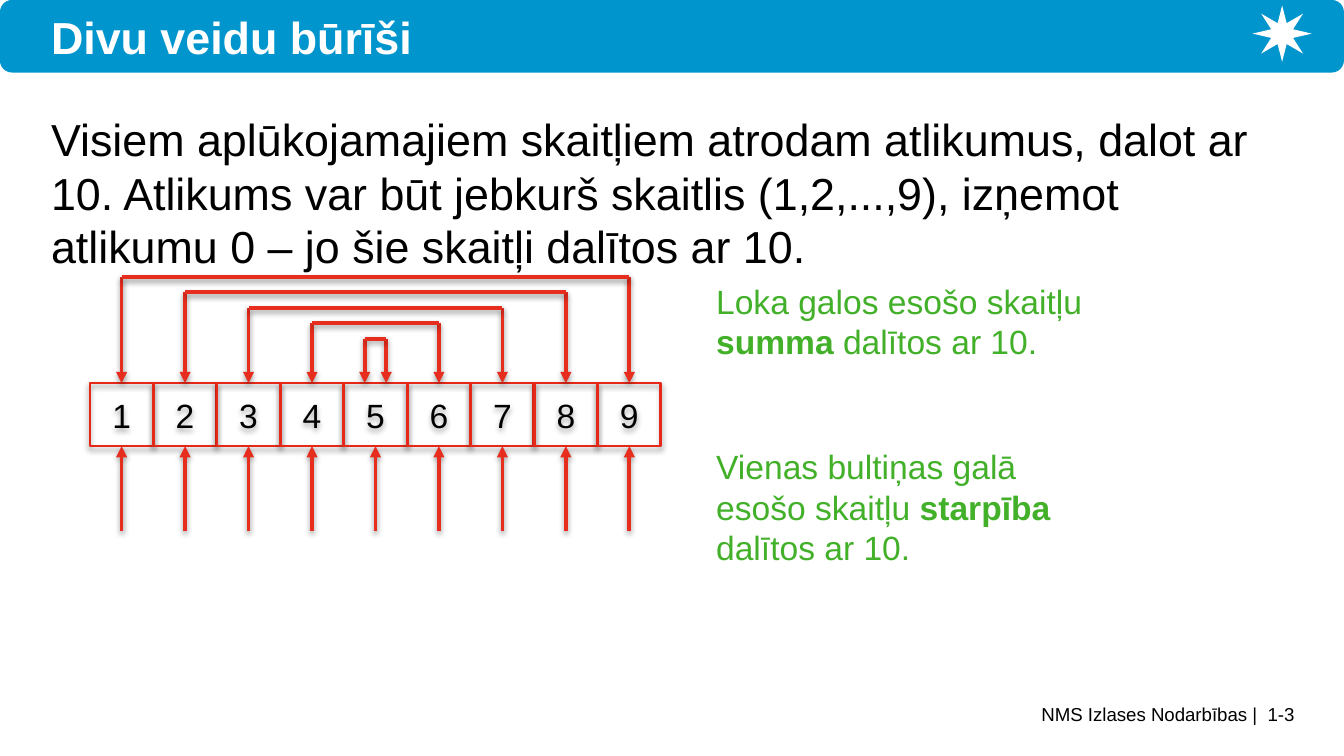
from pptx import Presentation
from pptx.dml.color import RGBColor
from pptx.enum.shapes import MSO_CONNECTOR as Connector, MSO_SHAPE as Shape
from pptx.enum.text import MSO_ANCHOR as Anchor, PP_ALIGN as Align
from pptx.oxml import parse_xml
from pptx.oxml.ns import nsdecls
from pptx.util import Inches, Pt

COLORS = {"banner": "0095CD", "white": "FFFFFF", "black": "000000",
          "cell": "E62818", "arrow": "E62D1E", "note": "43B02A"}
FONT = "Arial"

TITLE = "Divu veidu būrīši"
BODY = ("Visiem aplūkojamajiem skaitļiem atrodam atlikumus, dalot ar 10. "
        "Atlikums var būt jebkurš skaitlis (1,2,...,9), izņemot atlikumu 0 – "
        "jo šie skaitļi dalītos ar 10.")
FOOTER = "NMS Izlases Nodarbības |  1-3"
NOTES = [
    (2.04, 0.71, [("Loka galos esošo skaitļu ", False), ("summa", True),
                  (" dalītos ar 10.", False)]),
    (3.27, 1.01, [("Vienas bultiņas galā esošo skaitļu ", False),
                  ("starpība", True), (" dalītos ar 10.", False)]),
]
REMAINDERS = list(range(1, 10))

ROW_LEFT, ROW_RIGHT, ROW_TOP, CELL = 0.67, 4.92, 2.85, 0.47
PITCH = (ROW_RIGHT - ROW_LEFT) / len(REMAINDERS)
ARC_TOP, ARC_LOWEST = 2.06, 2.52
ARC_STEP = (ARC_LOWEST - ARC_TOP) / (len(REMAINDERS) // 2)
LOOP_HALF = 0.08
ARROW_START = 3.95

deck = Presentation()
deck.slide_width = Inches(10)
deck.slide_height = Inches(10 * 9 / 16)
slide = deck.slides.add_slide(deck.slide_layouts[6])


def color(name):
    return RGBColor.from_string(COLORS[name])


def write(frame, runs, size, tint, align=Align.LEFT):
    para = frame.paragraphs[0]
    para.alignment = align
    for text, bold in runs:
        span = para.add_run()
        span.text = text
        span.font.name, span.font.size, span.font.bold = FONT, Pt(size), bold
        span.font.color.rgb = color(tint)
    return para


def add_text(area, runs, size, tint, align=Align.LEFT, inset=True):
    frame = slide.shapes.add_textbox(*map(Inches, area)).text_frame
    frame.word_wrap = True
    if not inset:
        frame.margin_left = frame.margin_right = 0
        frame.margin_top = frame.margin_bottom = 0
    return write(frame, runs, size, tint, align)


def add_plain(kind, area, fill):
    shape = slide.shapes.add_shape(kind, *map(Inches, area))
    shape.shadow.inherit = False
    shape.fill.solid()
    shape.fill.fore_color.rgb = color(fill)
    shape.line.fill.background()
    return shape


def add_shadow(properties, distance, opacity):
    properties.append(parse_xml(
        f'<a:effectLst {nsdecls("a")}><a:outerShdw blurRad="{Pt(3.1)}" '
        f'dist="{Pt(distance)}" dir="5400000" rotWithShape="0">'
        f'<a:srgbClr val="{COLORS["black"]}"><a:alpha val="{opacity}000"/>'
        '</a:srgbClr></a:outerShdw></a:effectLst>'))


def add_cell(index, number):
    area = (ROW_LEFT + index * PITCH, ROW_TOP, CELL, CELL)
    cell = slide.shapes.add_shape(Shape.RECTANGLE, *map(Inches, area))
    cell.fill.background()
    cell.line.color.rgb = color("cell")
    cell.line.width = Pt(1.5)
    add_shadow(cell.element.spPr, 1.8, 35)
    cell.text_frame.vertical_anchor = Anchor.MIDDLE
    write(cell.text_frame, [(str(number), False)], 18, "black", Align.CENTER)
    return cell


def add_line(start, end, arrow=False):
    line = slide.shapes.add_connector(
        Connector.STRAIGHT, *map(Inches, (*start, *end)))
    line.line.color.rgb = color("arrow")
    line.line.width = Pt(2)
    if arrow:
        line.line._get_or_add_ln().append(
            parse_xml(f'<a:tailEnd {nsdecls("a")} type="triangle"/>'))
    add_shadow(line.element.spPr, 1.6, 38)
    return line


def center(index):
    return ROW_LEFT + index * PITCH + CELL / 2


add_text((2.41, 5.23, 7.22, 0.33), [(FOOTER, False)], 10, "black",
         Align.RIGHT, inset=False)
add_plain(Shape.ROUNDED_RECTANGLE, (0, 0, 10, 0.54), "banner")
emblem = add_plain(Shape.STAR_8_POINT, (9.32, 0.04, 0.44, 0.42), "white")
emblem.adjustments[0] = 0.2
body = add_text((0.38, 0.83, 9.25, 1.25), [(BODY, False)], 24, "black", inset=False)
body.space_before = Pt(4.8)
add_text((0.38, 0.07, 8.27, 0.42), [(TITLE, True)], 24, "white", inset=False)

cells = [add_cell(index, number) for index, number in enumerate(REMAINDERS)]

for low in range((len(cells) + 1) // 2):
    high = len(cells) - 1 - low
    spread = LOOP_HALF if low == high else 0
    left, right = center(low) - spread, center(high) + spread
    top = ARC_TOP + low * ARC_STEP
    for x, index in ((left, low), (right, high)):
        arrow = add_line((x, top), (x, ROW_TOP), arrow=True)
        if not spread:
            arrow.end_connect(cells[index], 0)
    add_line((left, top), (right, top))

for index, cell in enumerate(cells):
    x = center(index)
    arrow = add_line((x, ARROW_START), (x, ROW_TOP + CELL), arrow=True)
    arrow.end_connect(cell, 2)

for top, height, runs in NOTES:
    add_text((5.23, top, 3.12, height), runs, 18, "note")

deck.save("out.pptx")
